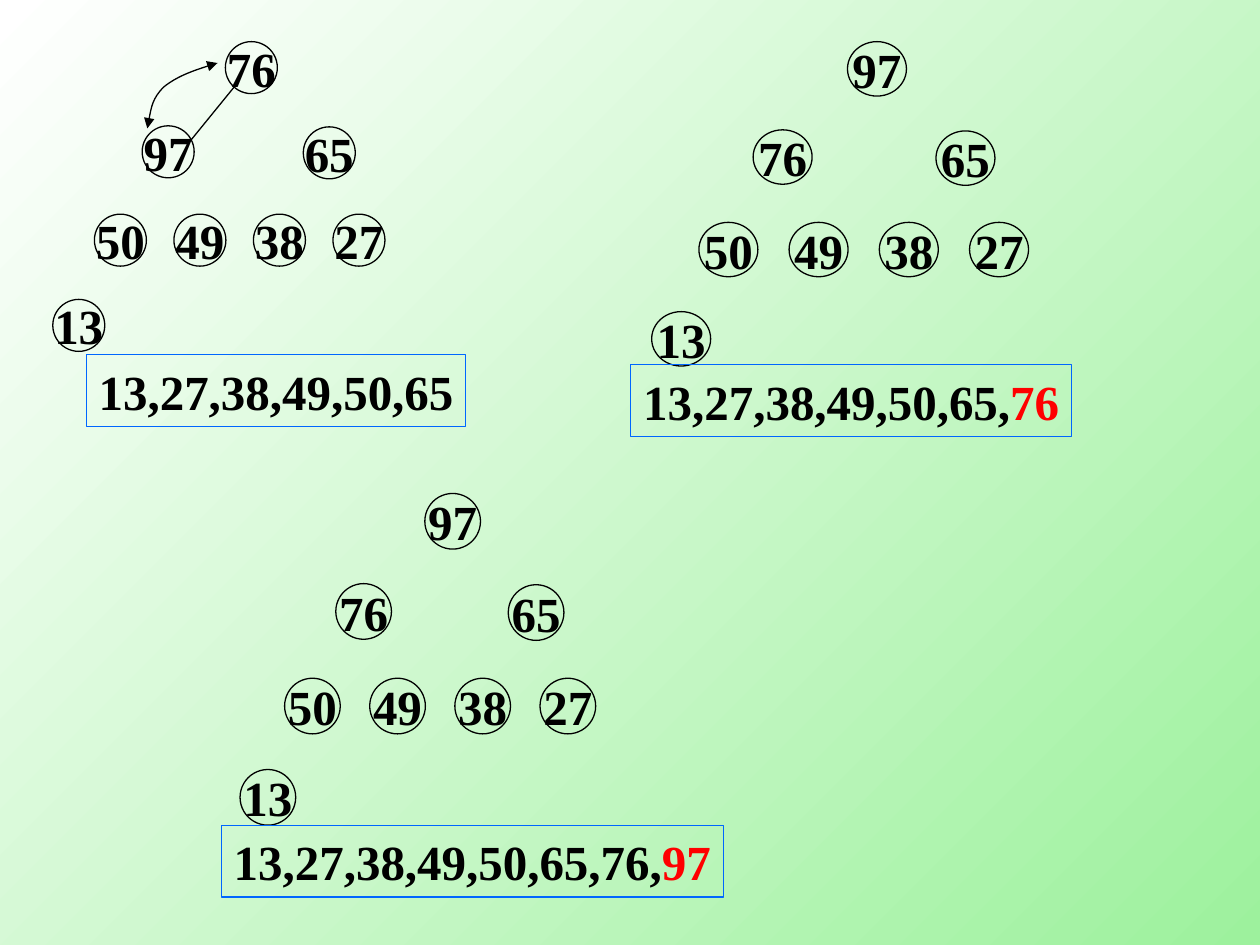
from dataclasses import dataclass

from lxml import etree
from pptx import Presentation
from pptx.dml.color import RGBColor
from pptx.enum import shapes, text
from pptx.oxml import ns
from pptx.util import Pt


@dataclass(frozen=True)
class Theme:
    font: str = "Times New Roman"
    size: float = 28
    line: float = 0.75
    ink: RGBColor = RGBColor(0, 0, 0)
    accent: RGBColor = RGBColor(0xFF, 0, 0)
    frame: RGBColor = RGBColor(0, 0x66, 0xFF)
    bg_start: RGBColor = RGBColor(0xFF, 0xFF, 0xFF)
    bg_end: RGBColor = RGBColor(0x9D, 0xF1, 0x9D)


THEME = Theme()

# Heap slots in level order: left and top in node widths and heights,
# measured from the left of the lowest leaf and the top of the root.
SLOTS = [(3.32, 0), (1.72, 1.62), (4.82, 1.64),
         *((0.8 + 1.53 * i, 3.32) for i in range(4)), (0, 4.96)]


def paint_background(s):
    fill = s.background.fill
    fill.gradient()
    fill.gradient_angle = 315
    for stop, color in zip(fill.gradient_stops, (THEME.bg_start, THEME.bg_end)):
        stop.color.rgb = color


def style_line(sp, color):
    sp.line.color.rgb = color
    sp.line.width = Pt(THEME.line)


def format_text(sp, align):
    tf = sp.text_frame
    tf.word_wrap = False
    tf.auto_size = text.MSO_AUTO_SIZE.NONE
    tf.vertical_anchor = text.MSO_ANCHOR.MIDDLE
    p = tf.paragraphs[0]
    p.alignment = align
    p.font.name = THEME.font
    p.font.size = Pt(THEME.size)
    p.font.bold = True
    p.font.color.rgb = THEME.ink
    return p


def add_node(parent, value, left, top, width, height):
    sp = parent.shapes.add_shape(shapes.MSO_SHAPE.OVAL, Pt(left), Pt(top),
                                 Pt(width), Pt(height))
    sp.shadow.inherit = False
    sp.fill.background()
    style_line(sp, THEME.ink)
    format_text(sp, text.PP_ALIGN.CENTER).add_run().text = str(value)


def add_heap(s, values, left, top, width, height):
    group = s.shapes.add_group_shape()
    for value, (col, row) in zip(values, SLOTS):
        add_node(group, value, round(left + col * width, 2),
                 round(top + row * height, 2), width, height)
    return group


def add_sorted_box(group, done, newest, left, top, width):
    """Framed list of sorted values, the newest one in the accent colour."""
    sp = group.shapes.add_textbox(Pt(left), Pt(top), Pt(width), Pt(41))
    style_line(sp, THEME.frame)
    p = format_text(sp, text.PP_ALIGN.LEFT)
    p.add_run().text = done
    if newest:
        r = p.add_run()
        r.text = newest
        r.font.color.rgb = THEME.accent


def add_edge(group, x1, y1, x2, y2):
    edge = group.shapes.add_connector(shapes.MSO_CONNECTOR.STRAIGHT,
                                      Pt(x1), Pt(y1), Pt(x2), Pt(y2))
    style_line(edge, THEME.ink)
    etree.SubElement(edge._element.spPr, ns.qn("a:effectLst"))


def add_swap_arrow(s, points):
    """Double-headed Bézier curve: a start point, then three points a segment."""
    start, *rest = [(Pt(x), Pt(y)) for x, y in points]
    builder = s.shapes.build_freeform(*start)
    builder.add_line_segments(rest, close=False)
    sp = builder.convert_to_shape()
    sp.shadow.inherit = False
    sp.fill.background()
    style_line(sp, THEME.ink)

    lines = list(sp._element.iter(ns.qn("a:lnTo")))
    for i in range(0, len(lines), 3):
        curve = etree.Element(ns.qn("a:cubicBezTo"))
        lines[i].addprevious(curve)
        for line in lines[i:i + 3]:
            curve.append(line[0])
            line.getparent().remove(line)
    for end in ("a:headEnd", "a:tailEnd"):
        etree.SubElement(sp.line._get_or_add_ln(), ns.qn(end), type="triangle")


def main():
    prs = Presentation()
    prs.slide_width, prs.slide_height = Pt(720), Pt(540)
    s = prs.slides.add_slide(prs.slide_layouts[6])
    paint_background(s)

    before_swap = add_heap(s, [76, 97, 65, 50, 49, 38, 27, 13],
                           30.2, 23.8, 29.7, 29.7)
    add_edge(before_swap, 134, 49.5, 108.7, 80.6)
    add_sorted_box(before_swap, "13,27,38,49,50,65", "", 49.3, 202.8, 216.7)
    add_swap_arrow(s, [(124.3, 36), (112.3, 39.6), (100.8, 43.9), (93.6, 49.7),
                       (87.1, 56.2), (85.7, 64.8), (84.2, 73.4)])

    swapped = [97, 76, 65, 50, 49, 38, 27, 13]
    after_swap = add_heap(s, swapped, 372.4, 23.8, 33.7, 31.1)
    add_sorted_box(after_swap, "13,27,38,49,50,65,", "76", 360.5, 208.5, 252)

    final = add_heap(s, swapped, 137.2, 282, 31.8, 31.8)
    add_sorted_box(final, "13,27,38,49,50,65,76,", "97", 126.5, 471.6, 286.8)

    prs.save("out.pptx")


if __name__ == "__main__":
    main()
